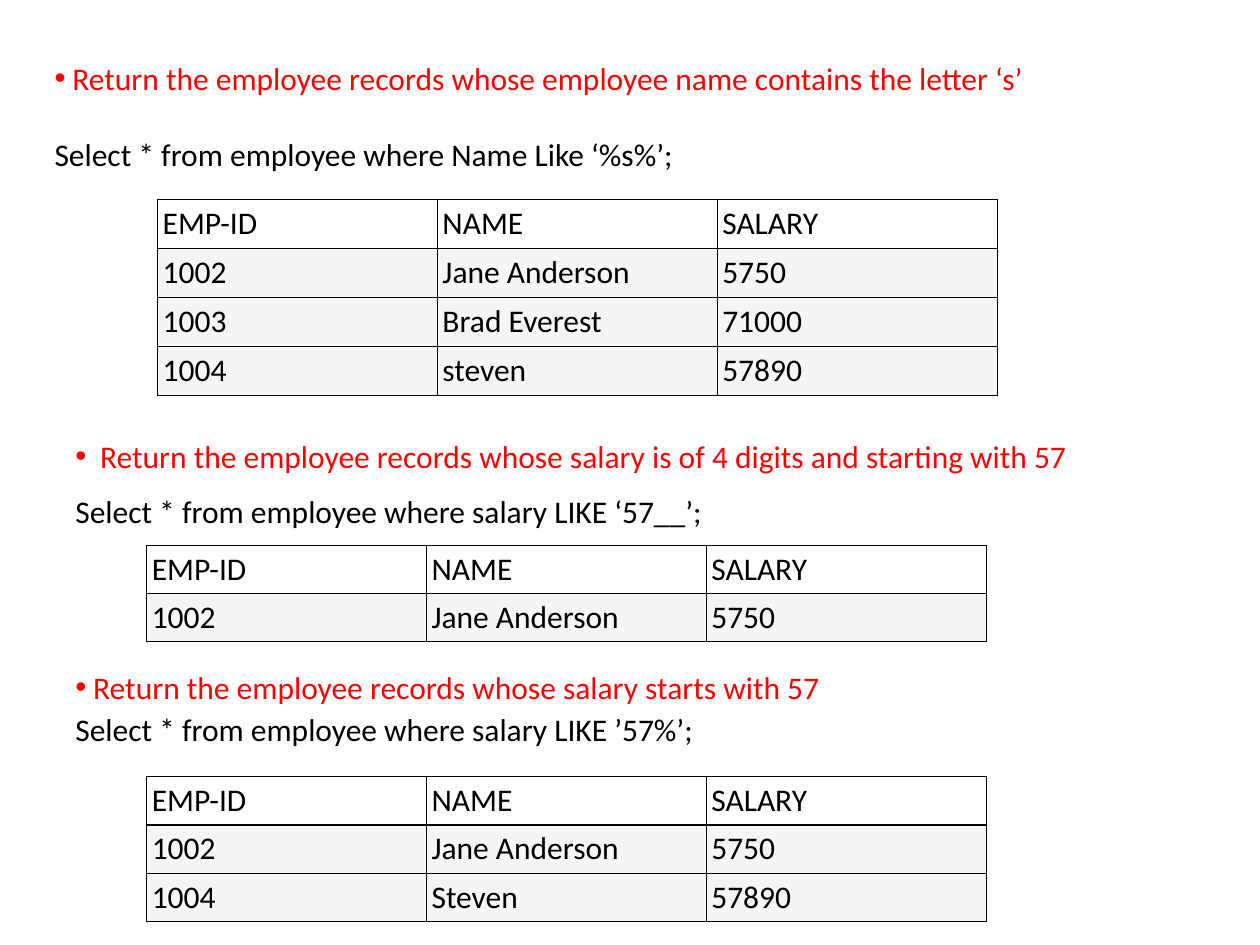
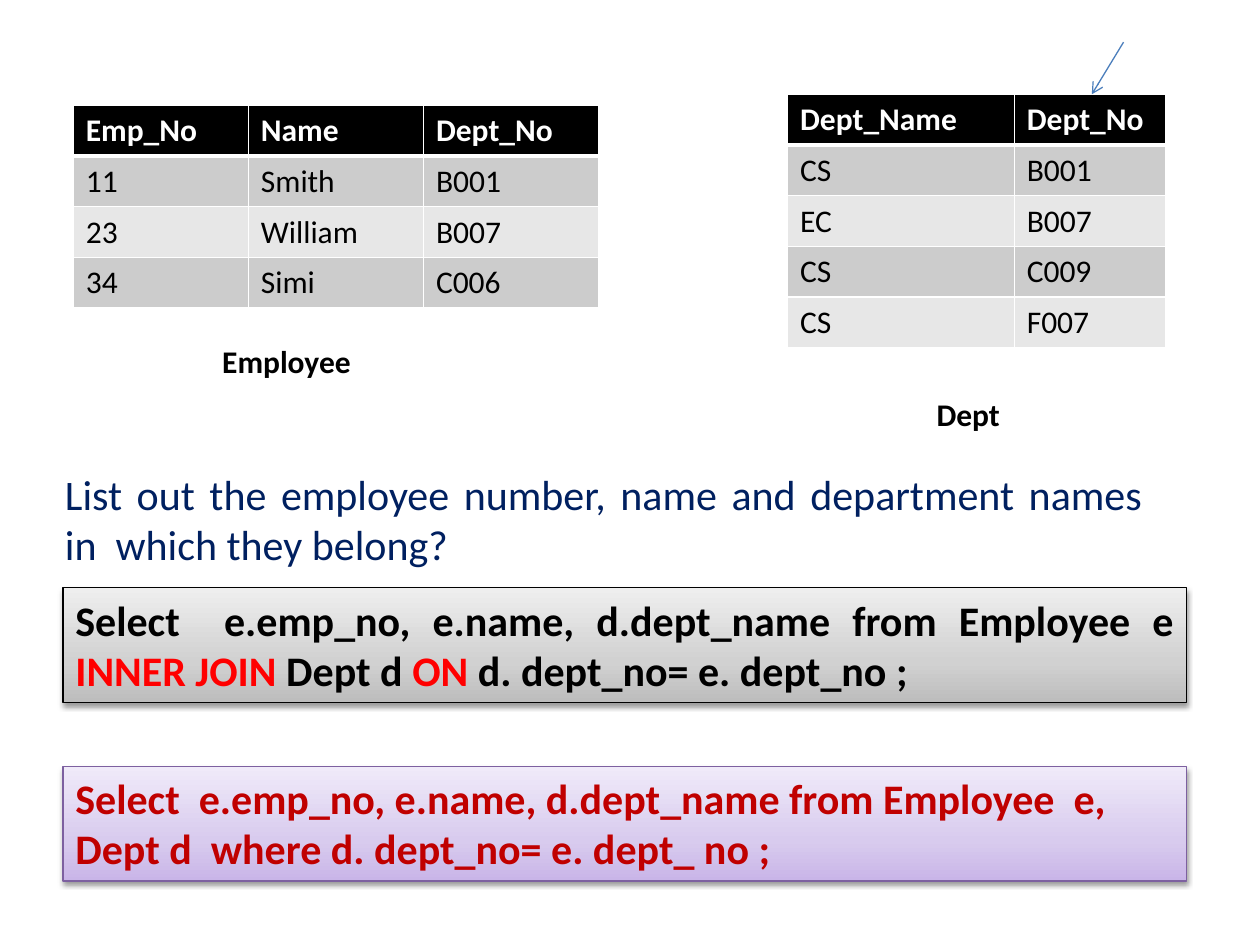
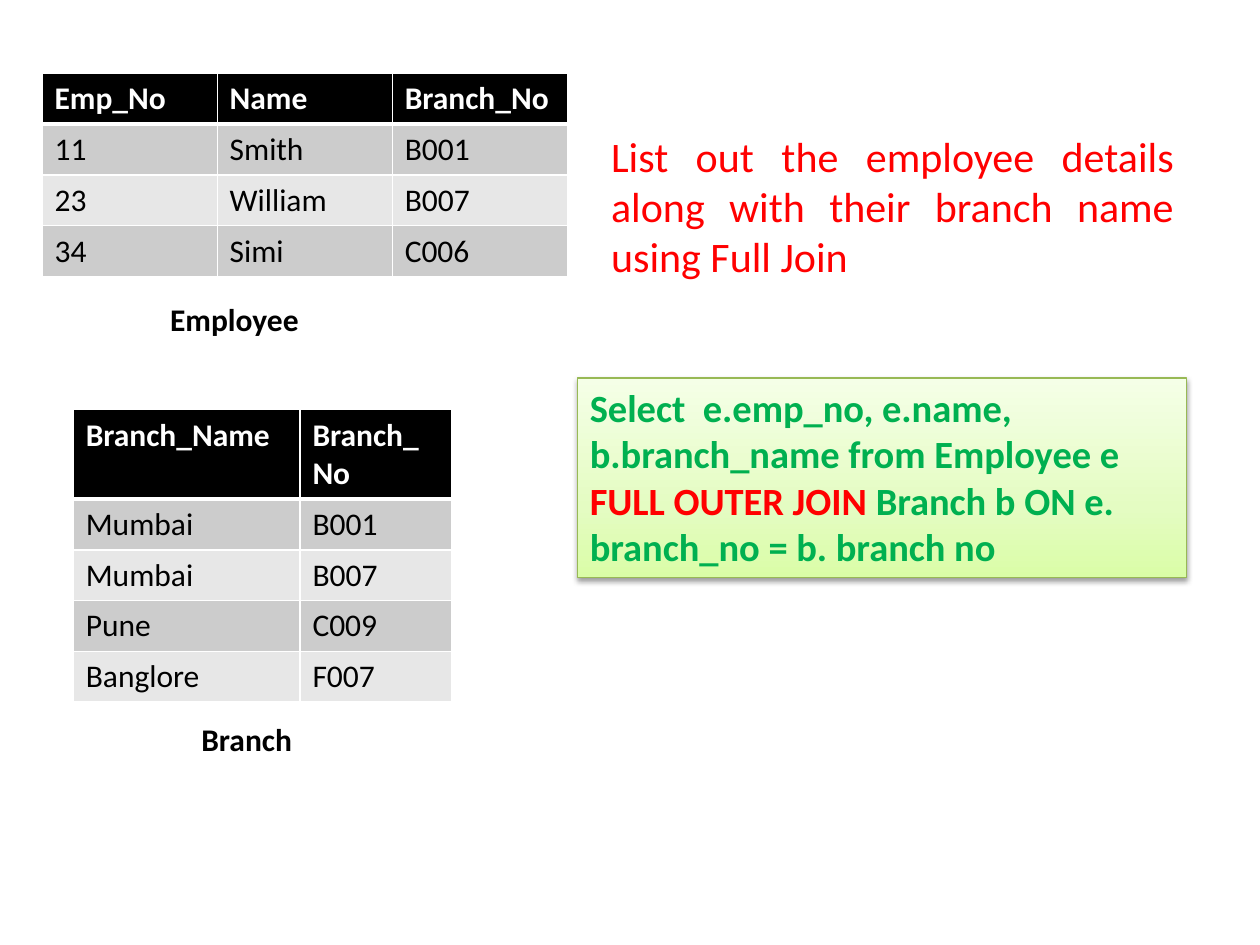
from copy import deepcopy

from lxml.etree import SubElement
from pptx import Presentation
from pptx.dml.color import RGBColor
from pptx.enum.shapes import MSO_CONNECTOR, MSO_SHAPE
from pptx.enum.text import MSO_ANCHOR, PP_ALIGN
from pptx.oxml.ns import qn
from pptx.util import Cm, Pt

BLACK = RGBColor(0x00, 0x00, 0x00)
WHITE = RGBColor(0xFF, 0xFF, 0xFF)
RED = RGBColor(0xFF, 0x00, 0x00)
DARK_RED = RGBColor(0xC0, 0x00, 0x00)
NAVY = RGBColor(0x00, 0x20, 0x60)
GREEN = RGBColor(0x00, 0xB0, 0x50)
ARROW_BLUE = RGBColor(0x4B, 0x7E, 0xBC)
PALE_GREY = RGBColor(0xF5, 0xF5, 0xF5)
BAND_DARK = RGBColor(0xCC, 0xCC, 0xCC)
BAND_LIGHT = RGBColor(0xE7, 0xE7, 0xE7)

# Line colour, then gradient colours from bottom to top
GREY_BOX = (BLACK, "BDBDBD", "D1D1D1", "EEEEEE")
PURPLE_BOX = (RGBColor(0x7D, 0x60, 0xA0), "C9B5E8", "D8CBEE", "F0EAF9")
GREEN_BOX = (RGBColor(0x98, 0xB9, 0x55), "DAFDA7", "E4FCC2", "F5FFE7")
GRADIENT_POSITIONS = (0, 0.35, 1)

PLAIN = dict(head_fill=WHITE, head_color=BLACK, head_bold=False, bands=(PALE_GREY,),
             line=BLACK, width=0.75, head_width=0.75, margin_x=0.1, margin_y=0.1)
BANDED = dict(head_fill=BLACK, head_color=WHITE, head_bold=True,
              bands=(BAND_DARK, BAND_LIGHT), line=WHITE, width=1, head_width=3,
              margin_x=0.25, margin_y=0.13)

RESULT_HEAD = ("EMP-ID", "NAME", "SALARY")
RESULT_COLS = (5.64,) * 3
EMPLOYEE_COLS = (3.53,) * 3
LOOKUP_COLS = (4.57, 3.05)
JANE = ("1002", "Jane Anderson", "5750")


def add_run(p, text, size=18, color=BLACK, bold=False):
    r = p.add_run()
    r.text = text
    for name, value in dict(name="Calibri", size=Pt(size), bold=bold).items():
        setattr(r.font, name, value)
    r.font.color.rgb = color


def add_text(s, left, top, width, height, text, align=PP_ALIGN.LEFT, **font):
    """Add a wrapping text box and return its text frame."""
    tf = s.shapes.add_textbox(Cm(left), Cm(top), Cm(width), Cm(height)).text_frame
    tf.word_wrap = True
    p = tf.paragraphs[0]
    p.alignment = align
    add_run(p, text, **font)
    return tf


def add_task(s, left, top, width, height, task, indent=0.36):
    """Add a red bulleted task and return its text frame."""
    tf = add_text(s, left, top, width, height, task, color=RED)
    pPr = tf.paragraphs[0]._p.get_or_add_pPr()
    pPr.set("marL", str(Cm(indent)))
    pPr.set("indent", str(-Cm(indent)))
    SubElement(pPr, qn("a:buFont")).set("typeface", "Arial")
    SubElement(pPr, qn("a:buChar")).set("char", "•")
    return tf


def add_query(tf, query, gap):
    p = tf.add_paragraph()
    p.space_before = Pt(gap)
    add_run(p, query)


def set_border(cell, side, color, width):
    ln = SubElement(cell._tc.get_or_add_tcPr(), qn(f"a:ln{side}"), w=str(Pt(width)))
    fill = SubElement(ln, qn("a:solidFill"))
    SubElement(fill, qn("a:srgbClr")).set("val", str(color))


def format_cell(cell, text, row, style):
    head = row == 0
    for side in "LRTB":
        under_head = (row, side) in ((0, "B"), (1, "T"))
        set_border(cell, side, style["line"],
                   style["head_width" if under_head else "width"])
    bands = style["bands"]
    cell.fill.solid()
    cell.fill.fore_color.rgb = style["head_fill"] if head else bands[(row - 1) % len(bands)]
    cell.margin_left = cell.margin_right = Cm(style["margin_x"])
    cell.margin_top = cell.margin_bottom = Cm(style["margin_y"])
    add_run(cell.text_frame.paragraphs[0], text,
            color=style["head_color"] if head else BLACK,
            bold=head and style["head_bold"])


def add_grid(s, left, top, cols, rows, style, row_height, head_height=None):
    heights = [head_height or row_height] + [row_height] * (len(rows) - 1)
    table = s.shapes.add_table(len(rows), len(cols), Cm(left), Cm(top),
                               Cm(sum(cols)), Cm(sum(heights))).table
    table.horz_banding = False
    for column, width in zip(table.columns, cols):
        column.width = Cm(width)
    for i, (row, height) in enumerate(zip(rows, heights)):
        table.rows[i].height = Cm(height)
        for j, text in enumerate(row):
            format_cell(table.cell(i, j), text, i, style)


def add_result(s, left, top, *records, row_height=0.97):
    add_grid(s, left, top, RESULT_COLS, (RESULT_HEAD, *records), PLAIN, row_height)


def add_data(s, left, top, cols, *rows, head_height=None):
    add_grid(s, left, top, cols, rows, BANDED, 1.02, head_height)


def add_employees(s, left, top, key):
    add_data(s, left, top, EMPLOYEE_COLS, ("Emp_No", "Name", key),
             ("11", "Smith", "B001"), ("23", "William", "B007"), ("34", "Simi", "C006"))


def add_soft_shadow(shape):
    shape.shadow.inherit = False
    effects = shape._element.spPr.find(qn("a:effectLst"))
    shadow = SubElement(effects, qn("a:outerShdw"), blurRad=str(Pt(3.1)),
                        dist=str(Pt(1.6)), dir="5400000", rotWithShape="0")
    color = SubElement(shadow, qn("a:srgbClr"), val="000000")
    SubElement(color, qn("a:alpha")).set("val", "38000")


def add_code_box(s, left, top, width, height, look, runs, size=24, align=PP_ALIGN.LEFT):
    """Add a shaded box holding a query given as (text, colour) runs."""
    line, *colors = look
    box = s.shapes.add_shape(MSO_SHAPE.RECTANGLE, Cm(left), Cm(top), Cm(width), Cm(height))
    box.fill.gradient()
    box.fill.gradient_angle = 90
    stops = box._element.spPr.find(".//" + qn("a:gsLst"))
    stops.append(deepcopy(stops[0]))
    for stop, position, color in zip(box.fill.gradient_stops, GRADIENT_POSITIONS, colors):
        stop.position = position
        stop.color.rgb = RGBColor.from_string(color)
    box.line.color.rgb = line
    box.line.width = Pt(0.75)
    add_soft_shadow(box)
    tf = box.text_frame
    tf.word_wrap = True
    tf.vertical_anchor = MSO_ANCHOR.TOP
    p = tf.paragraphs[0]
    p.alignment = align
    for text, color in runs:
        add_run(p, text, size, color, bold=True)


def add_arrow(s, x1, y1, x2, y2):
    arrow = s.shapes.add_connector(MSO_CONNECTOR.STRAIGHT, Cm(x1), Cm(y1), Cm(x2), Cm(y2))
    arrow.line.color.rgb = ARROW_BLUE
    arrow.line.width = Pt(0.75)
    SubElement(arrow.line._get_or_add_ln(), qn("a:tailEnd")).set("type", "arrow")
    SubElement(arrow._element.spPr, qn("a:effectLst"))


def build_like_queries(s):
    add_result(s, 3.18, 4.02, JANE, ("1003", "Brad Everest", "71000"),
               ("1004", "steven", "57890"), row_height=0.99)
    tf = add_task(s, 0.85, 1.06, 23.07, 2.56,
                  "Return the employee records whose employee name contains the letter ‘s’")
    add_query(tf, "Select * from employee where Name Like ‘%s%’;", gap=22)

    tf = add_task(s, 1.27, 8.68, 23.28, 2.9, "Return the employee records whose salary "
                  "is of 4 digits and starting with 57", indent=0.5)
    add_query(tf, "Select * from employee where salary LIKE ‘57__’;", gap=10)
    add_result(s, 2.96, 11, JANE)

    add_text(s, 1.27, 14.18, 21.59, 1.03, "Select * from employee where salary LIKE ’57%’;")
    add_result(s, 2.96, 15.66, JANE, ("1004", "Steven", "57890"))
    add_task(s, 1.27, 13.34, 23.28, 1.03,
             "Return the employee records whose salary starts with 57")


def build_inner_join(s):
    add_employees(s, 1.48, 2.12, "Dept_No")
    add_data(s, 15.88, 1.9, LOOKUP_COLS, ("Dept_Name", "Dept_No"), ("CS", "B001"),
             ("EC", "B007"), ("CS", "C009"), ("CS", "F007"))
    add_text(s, 1.06, 9.31, 22.23, 2.31, "List out the employee number, name and "
             "department names in  which they belong?", PP_ALIGN.JUSTIFY,
             size=24, color=NAVY)
    add_text(s, 4.23, 6.77, 5.08, 1.03, "Employee", bold=True)
    add_text(s, 18.63, 7.83, 5.08, 1.03, "Dept", bold=True)
    add_code_box(s, 1.27, 11.85, 22.65, 2.31, GREY_BOX, (
        ("Select  e.emp_no, e.name, d.dept_name from Employee e ", BLACK),
        ("INNER JOIN ", RED), ("Dept d ", BLACK), ("ON", RED),
        (" d. dept_no= e. dept_no ;", BLACK)), align=PP_ALIGN.JUSTIFY)
    add_code_box(s, 1.27, 15.45, 22.65, 2.31, PURPLE_BOX, (
        ("Select  e.emp_no, e.name, d.dept_name from Employee  e, "
         "Dept d  where d. dept_no= e. dept_ no ;", DARK_RED),))
    add_arrow(s, 22.65, 0.85, 22.01, 1.9)


def build_full_join(s):
    add_text(s, 12.07, 2.5, 11.85, 3.35, "List out the employee details along with "
             "their branch name using Full Join", PP_ALIGN.JUSTIFY, size=24, color=RED)
    add_employees(s, 0.85, 1.48, "Branch_No")
    add_data(s, 1.48, 8.26, LOOKUP_COLS, ("Branch_Name", "Branch_No"), ("Mumbai", "B001"),
             ("Mumbai", "B007"), ("Pune", "C009"), ("Banglore", "F007"), head_height=1.8)
    add_text(s, 3.18, 5.93, 4.66, 1.03, "Employee", bold=True)
    add_text(s, 3.81, 14.39, 4.66, 1.03, "Branch", bold=True)
    add_code_box(s, 11.64, 7.62, 12.28, 4.02, GREEN_BOX, (
        ("Select  e.emp_no, e.name, b.branch_name from Employee e ", GREEN),
        ("FULL OUTER JOIN", RED),
        (" Branch b ON e. branch_no = b. branch no", GREEN)), size=22)


def main():
    prs = Presentation()
    prs.slide_width, prs.slide_height = Cm(25.4), Cm(19.05)
    blank = prs.slide_layouts[6]
    for build in (build_like_queries, build_inner_join, build_full_join):
        build(prs.slides.add_slide(blank))
    prs.save("out.pptx")


if __name__ == "__main__":
    main()
